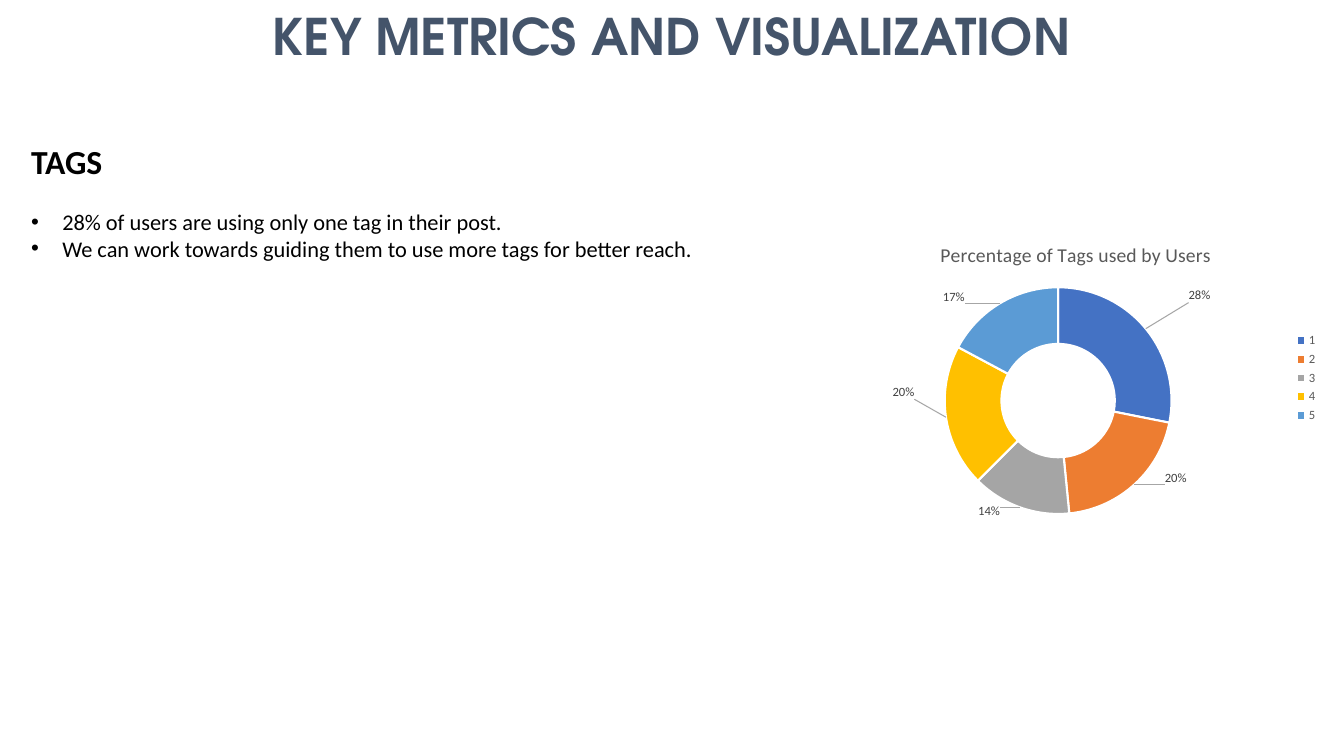
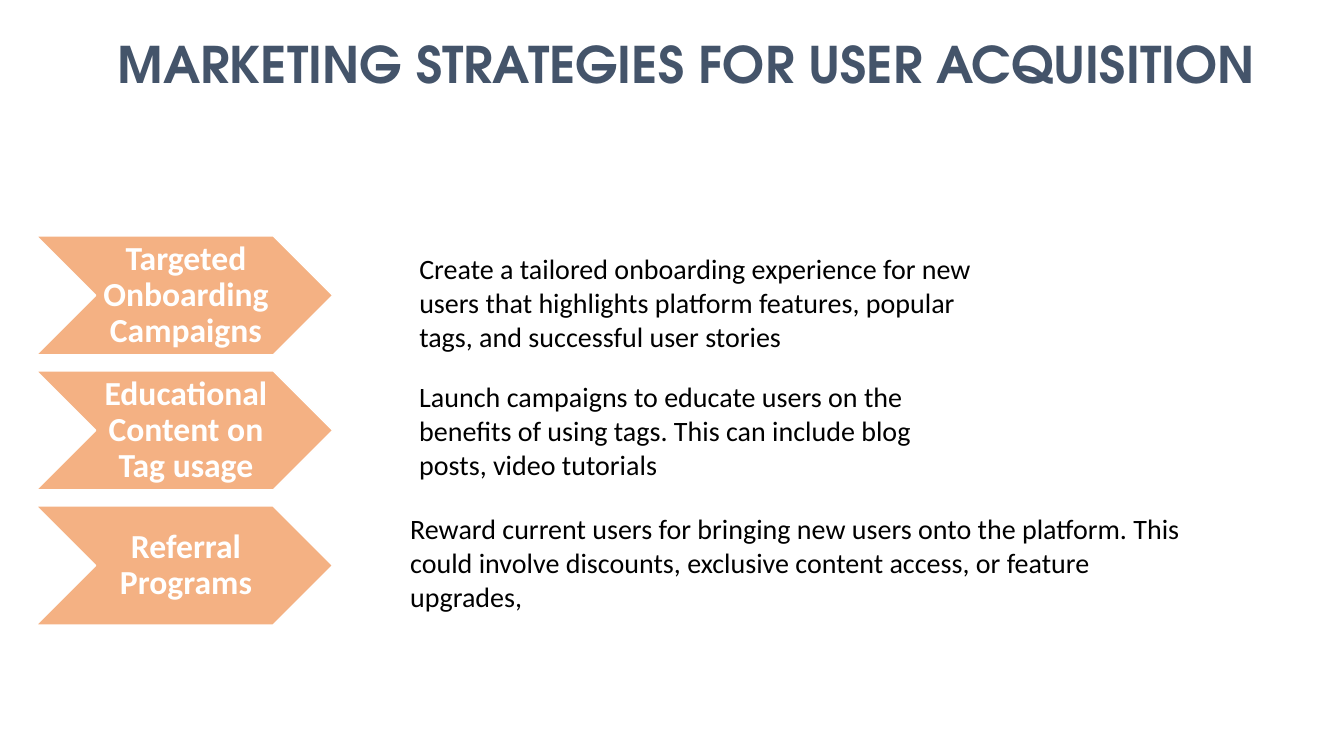
import pptx
import pptx.chart.data
import pptx.dml.color
import pptx.enum.chart
import pptx.enum.shapes
import pptx.enum.text
import pptx.oxml
import pptx.oxml.ns
import pptx.util

Inches, Pt = pptx.util.Inches, pptx.util.Pt
RGBColor = pptx.dml.color.RGBColor
ALIGN = pptx.enum.text.PP_ALIGN
ANCHOR = pptx.enum.text.MSO_ANCHOR

# Shared colours and fonts
NAVY = RGBColor(0x44, 0x54, 0x6A)
BLACK = RGBColor(0, 0, 0)
WHITE = RGBColor(0xFF, 0xFF, 0xFF)
PEACH = RGBColor(0xF4, 0xB1, 0x83)
GREY = RGBColor(0x59, 0x59, 0x59)
DARK = RGBColor(0x40, 0x40, 0x40)
RING = [
    RGBColor(0x44, 0x72, 0xC4),
    RGBColor(0xED, 0x7D, 0x31),
    RGBColor(0xA5, 0xA5, 0xA5),
    RGBColor(0xFF, 0xC0, 0x00),
    RGBColor(0x5B, 0x9B, 0xD5),
]
HEAD, BODY = "TeX Gyre Adventor", "Calibri"

# Tag count, users, label offset as a share of the chart size
TAGS = [
    ("1", 18, 0.15, -0.17),
    ("2", 13, 0.12, 0.05),
    ("3", 9, -0.08, 0.10),
    ("4", 13, -0.14, -0.07),
    ("5", 11, -0.12, -0.10),
]
NOTES = [
    "28% of users are using only one tag in their post.",
    "We can work towards guiding them to use more tags for better reach.",
]
# Strategy, details, left, top and width of the details
PLANS = [
    ("Targeted Onboarding Campaigns",
     "Create a tailored onboarding experience for new users that highlights "
     "platform features, popular tags, and successful user stories",
     4.06, 2.45, 5.98),
    ("Educational Content on Tag usage",
     "Launch campaigns to educate users on the benefits of using tags. "
     "This can include blog posts, video tutorials",
     4.06, 3.72, 5.36),
    ("Referral Programs",
     "Reward current users for bringing new users onto the platform. This could "
     "involve discounts, exclusive content access, or feature upgrades,",
     3.97, 5.03, 8.07),
]


def style(font, size, color, name=BODY, bold=False):
    font.size, font.name, font.bold = Pt(size), name, bold
    font.color.rgb = color


def node(xml):
    """Make an element from XML that uses the a and c prefixes."""
    cut = xml.index(" ") if " " in xml.split(">")[0] else xml.index(">")
    return pptx.oxml.parse_xml(
        xml[:cut] + " " + pptx.oxml.ns.nsdecls("a", "c") + xml[cut:])


def add_page(deck, text, left, top, width):
    """Add a slide with its title."""
    slide = deck.slides.add_slide(deck.slide_layouts[5])
    title = slide.shapes.title
    title.left, title.top = Inches(left), Inches(top)
    title.width, title.height = Inches(width), Inches(0.71)
    frame = title.text_frame
    frame.text = text
    frame.word_wrap = True
    frame.vertical_anchor = ANCHOR.TOP
    frame.auto_size = pptx.enum.text.MSO_AUTO_SIZE.NONE
    para = frame.paragraphs[0]
    para.alignment = ALIGN.CENTER
    style(para.font, 36, NAVY, HEAD, True)
    return slide


def add_text(slide, text, left, top, width, height, size, bold=False):
    box = slide.shapes.add_textbox(
        Inches(left), Inches(top), Inches(width), Inches(height))
    frame = box.text_frame
    frame.word_wrap = True
    frame.text = text
    style(frame.paragraphs[0].font, size, BLACK, bold=bold)
    return frame


def add_bullet(frame, text):
    para = frame.add_paragraph()
    para.text = text
    style(para.font, 16, BLACK)
    props = para._p.get_or_add_pPr()
    props.set("marL", str(Inches(0.31)))
    props.set("indent", str(-Inches(0.31)))
    # Bullet marks stand before the default run properties
    for mark in ('<a:buFont typeface="Arial"/>', '<a:buChar char="•"/>'):
        props.insert(len(props) - 1, node(mark))
    return para


def add_arrow(slide, text, top):
    arrow = slide.shapes.add_shape(
        pptx.enum.shapes.MSO_SHAPE.CHEVRON,
        Inches(0.36), Inches(top), Inches(2.94), Inches(1.18))
    arrow.shadow.inherit = False
    arrow.fill.solid()
    arrow.fill.fore_color.rgb = PEACH
    arrow.line.color.rgb = WHITE
    arrow.line.width = Pt(1)
    frame = arrow.text_frame
    frame.text = text
    frame.word_wrap = True
    frame.vertical_anchor = ANCHOR.MIDDLE
    frame.margin_left, frame.margin_right = Inches(0.03), 0
    frame.margin_top = frame.margin_bottom = Inches(0.02)
    para = frame.paragraphs[0]
    para.alignment = ALIGN.CENTER
    para.line_spacing = 0.9
    style(para.font, 24, WHITE, bold=True)


def place_labels(series):
    """Move the share labels off the ring and tie them with leader lines."""
    labels = series.data_labels
    labels.show_value = labels.show_percentage = True
    labels.number_format, labels.number_format_is_linked = "0%", False
    style(labels.font, 9, DARK)
    for point, _ in zip(series.points, TAGS):
        style(point.data_label.font, 9, DARK)
    group = series._element.find(pptx.oxml.ns.qn("c:dLbls"))
    for label, (_, _, x, y) in zip(group.xpath("c:dLbl"), TAGS):
        label.insert(1, node(
            f'<c:layout><c:manualLayout><c:x val="{x}"/><c:y val="{y}"/>'
            '</c:manualLayout></c:layout>'))
        label.xpath("c:showVal")[0].set("val", "0")
        label.xpath("c:showPercent")[0].set("val", "1")
    for old in group.xpath("c:showLeaderLines"):
        group.remove(old)
    group.append(node('<c:showLeaderLines val="1"/>'))
    group.append(node(
        '<c:leaderLines><c:spPr><a:ln w="9525"><a:solidFill>'
        '<a:srgbClr val="A6A6A6"/></a:solidFill></a:ln></c:spPr>'
        '</c:leaderLines>'))


def add_ring(slide):
    data = pptx.chart.data.CategoryChartData()
    data.categories = [tag[0] for tag in TAGS]
    data.add_series("Series 1", [tag[1] for tag in TAGS])
    chart = slide.shapes.add_chart(
        pptx.enum.chart.XL_CHART_TYPE.DOUGHNUT,
        Inches(8.17), Inches(2.25), Inches(5), Inches(3), data).chart
    style(chart.font, 10, BLACK)

    # Title and legend
    chart.has_title = True
    frame = chart.chart_title.text_frame
    frame.text = "Percentage of Tags used by Users"
    style(frame.paragraphs[0].font, 14, GREY)
    chart.chart_title.include_in_layout = False
    chart.has_legend = True
    chart.legend.position = pptx.enum.chart.XL_LEGEND_POSITION.RIGHT
    chart.legend.include_in_layout = False
    style(chart.legend.font, 9, GREY)

    # Ring segments
    plot = chart.plots[0]
    plot.vary_by_categories = True
    series = plot.series[0]
    for i, color in enumerate(RING):
        form = series.points[i].format
        form.fill.solid()
        form.fill.fore_color.rgb = color
        form.line.color.rgb = WHITE
        form.line.width = Pt(1.5)
    place_labels(series)

    # Hole and plot area
    root = chart._chartSpace
    root.xpath(".//c:holeSize")[0].set("val", "75")
    area = root.xpath(".//c:plotArea")[0]
    for old in area.xpath("c:layout"):
        area.remove(old)
    area.insert(0, node(
        '<c:layout><c:manualLayout><c:layoutTarget val="inner"/>'
        '<c:xMode val="edge"/><c:yMode val="edge"/>'
        '<c:x val="0.24"/><c:y val="0.2"/><c:w val="0.45"/><c:h val="0.75"/>'
        '</c:manualLayout></c:layout>'))


def main():
    deck = pptx.Presentation()
    deck.slide_width, deck.slide_height = Inches(13.33), Inches(7.5)

    # Tag metrics
    slide = add_page(deck, "KEY METRICS AND VISUALIZATION", 0.32, 0, 12.68)
    add_ring(slide)
    frame = add_text(slide, "TAGS", 0.21, 1.35, 7.21, 1.31, 24, True)
    paras = [add_bullet(frame, note) for note in NOTES]
    paras[0].space_before = Pt(19)

    # Marketing strategies
    slide = add_page(
        deck, "MARKETING STRATEGIES FOR USER ACQUISITION", 0.99, 0.28, 11.64)
    for i, (name, text, left, top, width) in enumerate(PLANS):
        add_arrow(slide, name, 2.34 + 1.34 * i)
        add_text(slide, text, left, top, width, 1.11, 20)

    deck.save("out.pptx")


if __name__ == "__main__":
    main()
